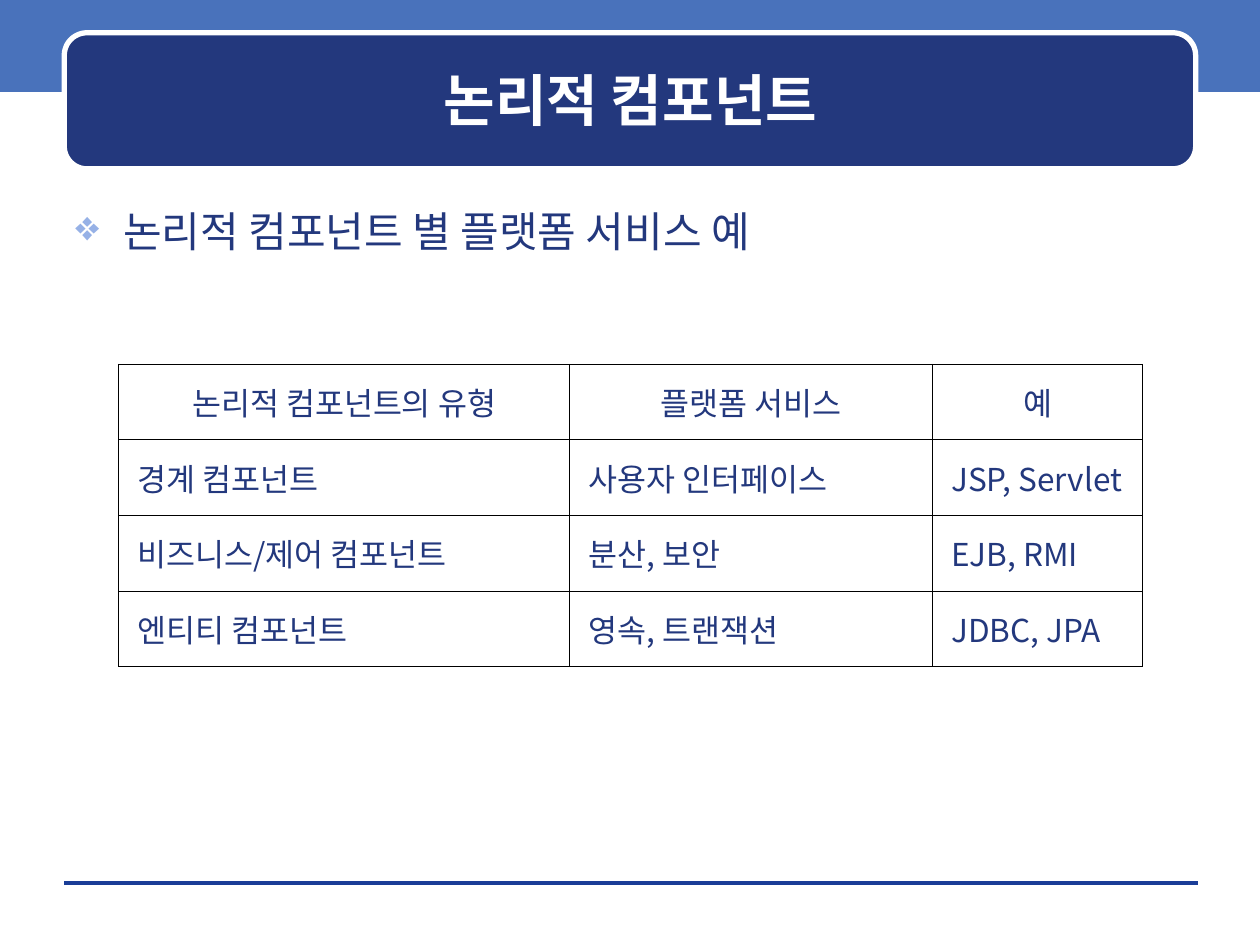
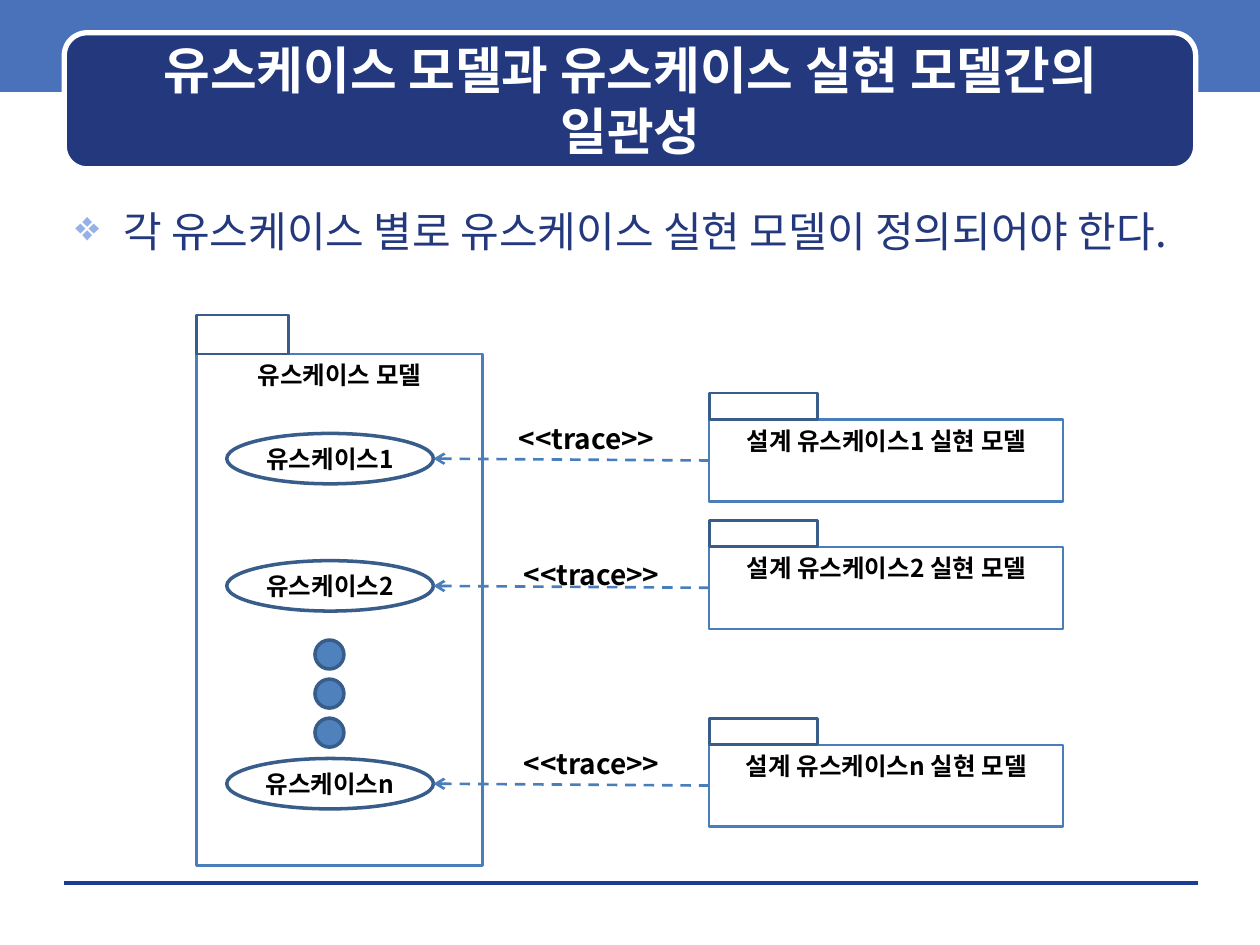
from lxml import etree
from pptx import Presentation
from pptx.dml.color import RGBColor
from pptx.enum import dml, shapes, text
from pptx.oxml import parse_xml
from pptx.oxml.ns import nsdecls, qn
from pptx.util import Inches, Pt

FONT = "Noto Sans CJK KR"
COLORS = {
    "band": "4972BB", "navy": "23387D", "white": "FFFFFF", "black": "000000",
    "footer": "1A3D97", "bullet": "96B1E6", "frame": "4A7EBB",
    "outline": "385D8A", "dot": "4F81BD",
}
CENTER, LEFT, JUSTIFY = text.PP_ALIGN.CENTER, text.PP_ALIGN.LEFT, text.PP_ALIGN.JUSTIFY
TOP, MIDDLE = text.MSO_ANCHOR.TOP, text.MSO_ANCHOR.MIDDLE
RECT, OVAL = shapes.MSO_SHAPE.RECTANGLE, shapes.MSO_SHAPE.OVAL


def write(frame, content, size=14, color="black", bold=True, align=CENTER, anchor=MIDDLE, wrap=True):
    frame.word_wrap = wrap
    frame.vertical_anchor = anchor
    paragraph = frame.paragraphs[0]
    paragraph.alignment = align
    run = paragraph.add_run()
    run.text = content
    run.font.size = Pt(size)
    run.font.bold = bold
    run.font.color.rgb = RGBColor.from_string(COLORS[color])
    run.font.name = FONT
    etree.SubElement(run.font._element, qn("a:ea"), typeface=FONT)
    return paragraph


def draw(slide, preset, left, top, width, height, fill=None, line=None, weight=1.5):
    shape = slide.shapes.add_shape(preset, Inches(left), Inches(top), Inches(width), Inches(height))
    shape.shadow.inherit = False
    if fill:
        shape.fill.solid()
        shape.fill.fore_color.rgb = RGBColor.from_string(COLORS[fill])
    else:
        shape.fill.background()
    if line:
        shape.line.color.rgb = RGBColor.from_string(COLORS[line])
        shape.line.width = Pt(weight)
    else:
        shape.line.fill.background()
    return shape


deck = Presentation()
deck.slide_width, deck.slide_height = Inches(10), Inches(7.5)

pages = [
    ("논리적 컴포넌트", 32, "논리적 컴포넌트 별 플랫폼 서비스 예"),
    ("유스케이스 모델과 유스케이스 실현 모델간의 일관성", 29,
     "각 유스케이스 별로 유스케이스 실현 모델이 정의되어야 한다."),
]
for heading, heading_size, statement in pages:
    slide = deck.slides.add_slide(deck.slide_layouts[5])
    draw(slide, RECT, 0, -0.03, 10, 0.76, fill="band")
    footer = slide.shapes.add_connector(
        shapes.MSO_CONNECTOR.STRAIGHT, Inches(0.51), Inches(7.01), Inches(9.51), Inches(7.01))
    footer.line.color.rgb = RGBColor.from_string(COLORS["footer"])
    footer.line.width = Pt(0)
    etree.SubElement(footer._element.spPr, qn("a:effectLst"))
    draw(slide, shapes.MSO_SHAPE.ROUNDED_RECTANGLE, 0.51, 0.26, 8.98, 1.08,
         fill="navy", line="white", weight=3)

    title = slide.shapes.title
    title.left, title.top, title.width, title.height = map(Inches, (0.6, 0.35, 8.81, 0.88))
    title.text_frame.auto_size = text.MSO_AUTO_SIZE.NONE
    write(title.text_frame, heading, size=heading_size, color="white")
    slide.shapes._spTree.append(title._element)

    body = slide.shapes.add_textbox(Inches(0.5), Inches(1.58), Inches(9), Inches(5.33))
    point = write(body.text_frame, statement, size=24, color="navy", bold=False, align=LEFT, anchor=TOP)
    layout = point._p.get_or_add_pPr()
    layout.set("marL", str(Inches(0.38)))
    layout.set("indent", str(Inches(-0.38)))
    bullet_color = etree.SubElement(layout, qn("a:buClr"))
    etree.SubElement(bullet_color, qn("a:srgbClr"), val=COLORS["bullet"])
    etree.SubElement(layout, qn("a:buChar"), char="❖")

components_slide, trace_slide = deck.slides

rows = [
    ("논리적 컴포넌트의 유형", "플랫폼 서비스", "예"),
    ("경계 컴포넌트", "사용자 인터페이스", "JSP, Servlet"),
    ("비즈니스/제어 컴포넌트", "분산, 보안", "EJB, RMI"),
    ("엔티티 컴포넌트", "영속, 트랜잭션", "JDBC, JPA"),
]
services = components_slide.shapes.add_table(
    len(rows), 3, Inches(0.94), Inches(2.89), Inches(8.13), Inches(2.4)).table
services.first_row = services.horz_banding = False
for column, width in zip(services.columns, (3.58, 2.88, 1.67)):
    column.width = Inches(width)
for r, row in enumerate(rows):
    services.rows[r].height = Inches(0.6)
    for c, entry in enumerate(row):
        cell = services.cell(r, c)
        write(cell.text_frame, entry, size=18, color="navy", bold=False,
              align=JUSTIFY if r else CENTER)
        cell.vertical_anchor = MIDDLE
        cell.margin_left = cell.margin_right = Inches(0.15)
        cell.margin_top = cell.margin_bottom = Inches(0.05)
        cell.fill.background()
        for position, side in enumerate(("lnL", "lnR", "lnT", "lnB")):
            border = parse_xml(
                f'<a:{side} {nsdecls("a")} w="{Pt(0.45)}"><a:solidFill>'
                f'<a:srgbClr val="{COLORS["black"]}"/></a:solidFill></a:{side}>')
            cell._tc.get_or_add_tcPr().insert(position, border)

model = draw(trace_slide, RECT, 1.56, 2.81, 2.27, 4.06, line="frame", weight=1.25)
write(model.text_frame, "유스케이스 모델", anchor=TOP)
draw(trace_slide, RECT, 1.56, 2.5, 0.73, 0.31, line="outline")
for step in range(3):
    draw(trace_slide, OVAL, 2.5, 5.08 + 0.31 * step, 0.23, 0.23, fill="dot", line="outline", weight=2)

for suffix, top, trace_left, trace_top in (
        ("1", 3.44, 4.02, 3.3), ("2", 4.45, 4.06, 4.38), ("n", 6.02, 4.06, 5.88)):
    use_case = draw(trace_slide, OVAL, 1.8, top, 1.64, 0.4, line="outline", weight=2)
    use_case.text_frame.margin_left = use_case.text_frame.margin_right = 0
    write(use_case.text_frame, f"유스케이스{suffix}")

    realization = draw(trace_slide, RECT, 5.63, top - 0.11, 2.81, 0.65, line="frame", weight=1.25)
    write(realization.text_frame, f"설계 유스케이스{suffix} 실현 모델", anchor=TOP)
    draw(trace_slide, RECT, 5.63, top - 0.32, 0.86, 0.21, line="outline")

    trace = trace_slide.shapes.add_connector(
        shapes.MSO_CONNECTOR.STRAIGHT, Inches(5.63), Inches(top + 0.22), Inches(3.44), Inches(top + 0.2))
    trace.begin_connect(realization, 1)
    trace.line.color.rgb = RGBColor.from_string(COLORS["frame"])
    trace.line.width = Pt(1.5)
    trace.line.dash_style = dml.MSO_LINE.DASH
    etree.SubElement(trace.line._get_or_add_ln(), qn("a:tailEnd"), type="arrow")
    etree.SubElement(trace._element.spPr, qn("a:effectLst"))

    label = trace_slide.shapes.add_textbox(
        Inches(trace_left), Inches(trace_top), Inches(1.28), Inches(0.37))
    write(label.text_frame, "<<trace>>", size=16, align=LEFT, anchor=TOP, wrap=False)

deck.save("out.pptx")
